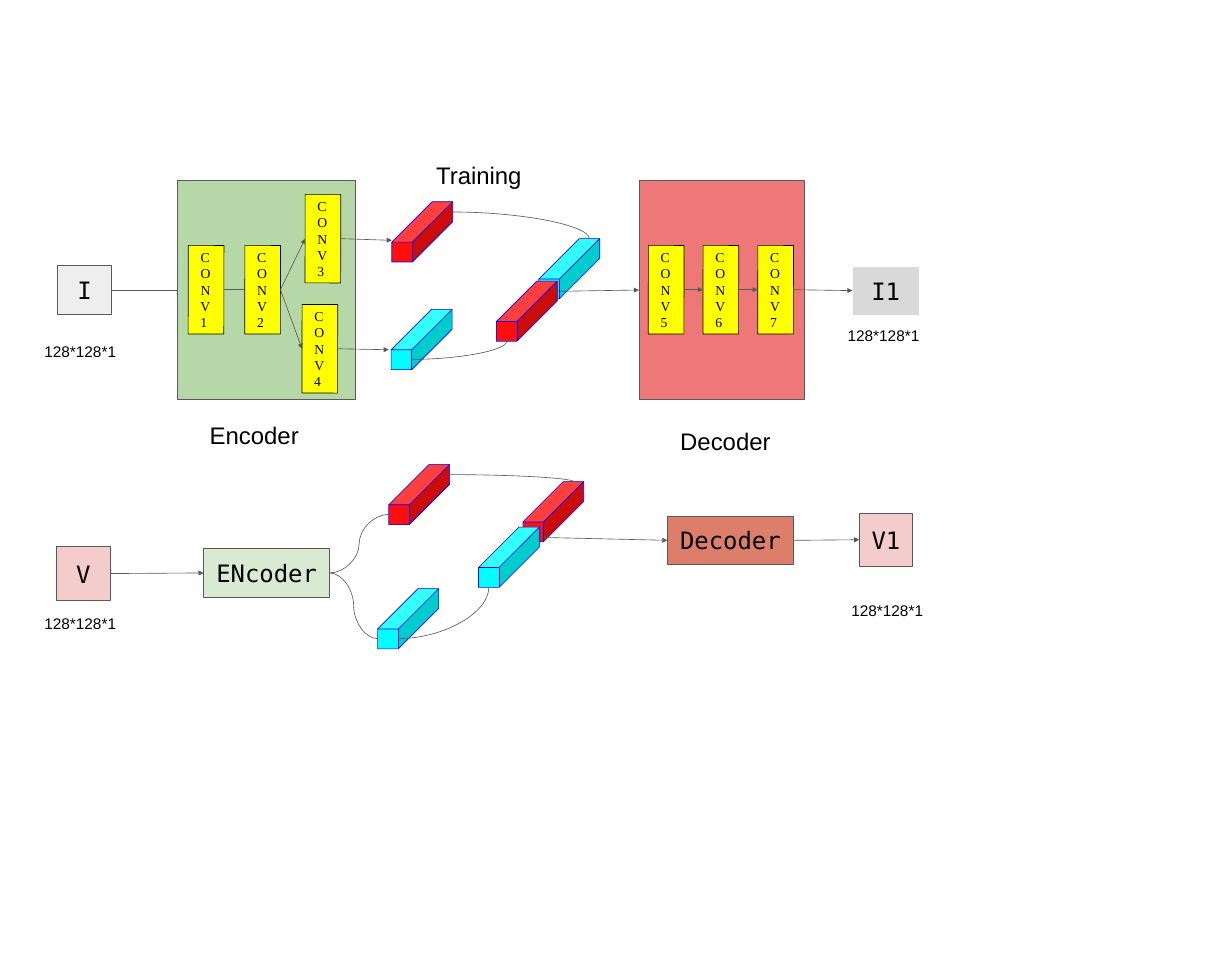
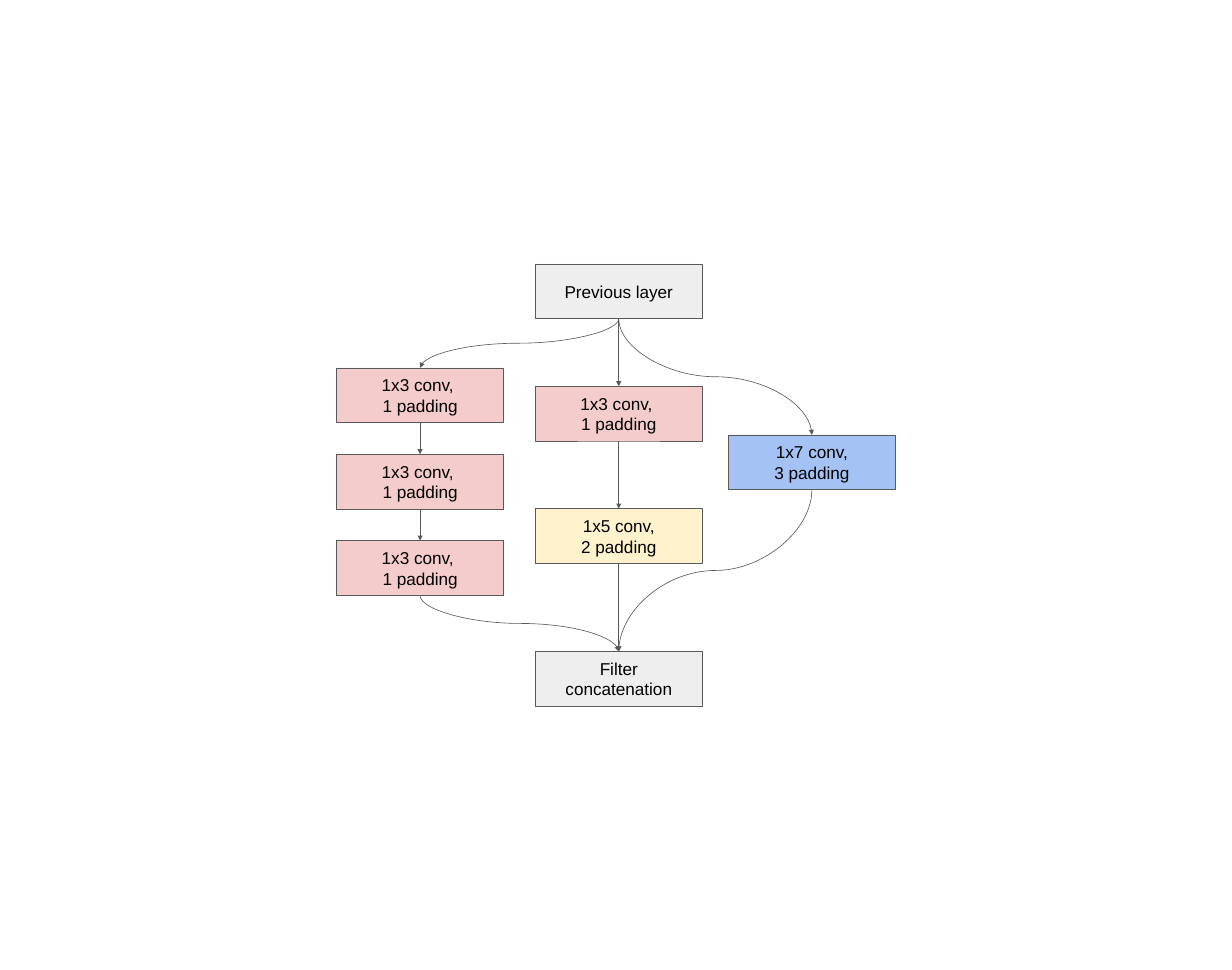
from dataclasses import dataclass
from typing import Any

from pptx import Presentation
from pptx.dml.color import RGBColor
from pptx.enum.shapes import MSO_CONNECTOR as Line, MSO_SHAPE as Preset
from pptx.enum.text import MSO_ANCHOR as Anchor, MSO_AUTO_SIZE as AutoSize, PP_ALIGN as Align
from pptx.oxml.ns import qn
from pptx.oxml.xmlchemy import OxmlElement
from pptx.util import Inches, Pt

CELL = Inches(0.1)

BLACK = RGBColor(0x00, 0x00, 0x00)
WHITE = RGBColor(0xFF, 0xFF, 0xFF)
DARK_GREY = RGBColor(0x59, 0x59, 0x59)
PALE_GREY = RGBColor(0xEE, 0xEE, 0xEE)
MID_GREY = RGBColor(0xD9, 0xD9, 0xD9)
PINK = RGBColor(0xF4, 0xCC, 0xCC)
GREEN = RGBColor(0xB6, 0xD7, 0xA8)
PALE_GREEN = RGBColor(0xD9, 0xEA, 0xD3)
CORAL = RGBColor(0xEE, 0x78, 0x78)
BRICK = RGBColor(0xDD, 0x7E, 0x6B)
YELLOW = RGBColor(0xFF, 0xFF, 0x00)
CREAM = RGBColor(0xFF, 0xF2, 0xCC)
SKY = RGBColor(0xA4, 0xC2, 0xF4)
RED = RGBColor(0xFF, 0x0E, 0x0E)
CYAN = RGBColor(0x00, 0xFF, 0xFF)
BLUE = RGBColor(0x00, 0x00, 0xFF)

TERMINAL = {"name": "DejaVu Sans Mono", "size": Pt(28)}
HEADING = {"name": "Arial", "size": Pt(28)}
DIMENSION = {"name": "Arial", "size": Pt(18)}
LAYER = {"name": "Arial", "size": Pt(20.1)}
CONV = {"name": "Times New Roman", "size": Pt(16)}

PADDING = {f"margin_{side}": Inches(0.2) for side in ("left", "top", "right", "bottom")}
INSIDE = {**PADDING, "word_wrap": True, "vertical_anchor": Anchor.MIDDLE}
CAPTION = {**PADDING, "word_wrap": True, "vertical_anchor": Anchor.TOP,
           "auto_size": AutoSize.SHAPE_TO_FIT_TEXT}

LEFT, RIGHT, TOP, BOTTOM = (0, 0.5), (1, 0.5), (0.5, 0), (0.5, 1)
CUBE_DEPTH = 0.67
CUBE_LEFT, CUBE_RIGHT = (0, 0.83), (1, 0.17)
CUBE_TOP, CUBE_BOTTOM = (0.83, 0), (0.17, 1)
CUBE_EDGE, CUBE_ENTRY = (0.33, 0.83), (0, 0.64)

CONV_SIZE = (5.8, 14.4)
CUBE_SIZE = (9.9, 9.8)
LAYER_SIZE = (27.2, 8.9)


@dataclass
class Region:
    """A part of a slide whose inner positions count in cells from its corner."""
    slide: Any
    left: float
    top: float

    def box(self, place, size):
        """Return the slide position and size of a part in EMU."""
        cells = (self.left + place[0], self.top + place[1], *size)
        return [round(cell * CELL) for cell in cells]

    def inner(self, place):
        """Return a region that starts at a place in this one."""
        return Region(self.slide, self.left + place[0], self.top + place[1])


def set_all(target, values):
    """Set every attribute named in a dict of format values."""
    for name, value in values.items():
        setattr(target, name, value)


def write(frame, text, font, layout, align):
    """Fill a text frame, one paragraph for each line of text."""
    set_all(frame, layout)
    for index, words in enumerate(text.split("\n")):
        paragraph = frame.add_paragraph() if index else frame.paragraphs[0]
        paragraph.alignment = align
        run = paragraph.add_run()
        run.text = words
        set_all(run.font, font)
        run.font.color.rgb = BLACK


def block(region, place, size, fill, text="", font=TERMINAL, outline=DARK_GREY,
          align=Align.CENTER, preset=Preset.RECTANGLE):
    """Draw a filled, outlined shape with optional text."""
    shape = region.slide.shapes.add_shape(preset, *region.box(place, size))
    shape.shadow.inherit = False
    shape.fill.solid()
    shape.fill.fore_color.rgb = fill
    shape.line.color.rgb = outline
    shape.line.width = Pt(0.75)
    if text:
        write(shape.text_frame, text, font, INSIDE, align)
    return shape


def caption(region, place, size, text, font):
    """Place a free line of text."""
    label = region.slide.shapes.add_textbox(*region.box(place, size))
    write(label.text_frame, text, font, CAPTION, Align.LEFT)


def dimension(region, place):
    """Place the image size under an input or output."""
    caption(region, place, (16.7, 7), "128*128*1", DIMENSION)


def conv(region, place, number):
    """Draw one numbered convolution with its letters stacked."""
    shape = block(region, place, CONV_SIZE, YELLOW, f"CONV\n{number}", CONV, BLACK, Align.LEFT)
    shape.rotation = 0.1
    return shape


def cube(region, place, fill):
    """Draw one feature cube."""
    shape = block(region, place, CUBE_SIZE, fill, outline=BLUE, preset=Preset.CUBE)
    shape.adjustments[0] = CUBE_DEPTH
    return shape


def spot(shape, share):
    """Return the point at a share of a shape's width and height."""
    return (round(shape.left + share[0] * shape.width),
            round(shape.top + share[1] * shape.height))


def link(region, source, source_spot, target, target_spot, route="straight", tip=True):
    """Join two shapes by a straight, bend, sway or drop route."""
    x1, y1 = spot(source, source_spot)
    x2, y2 = spot(target, target_spot)
    if route == "drop":
        middle_x, middle_y = (x1 + x2) // 2, (y1 + y2) // 2
        half_x, half_y = (x2 - x1) // 2, (y2 - y1) // 2
        x1, x2 = middle_x - half_y, middle_x + half_y
        y1, y2 = middle_y + half_x, middle_y - half_x
    kind = Line.STRAIGHT if route == "straight" else Line.CURVE
    connector = region.slide.shapes.add_connector(kind, x1, y1, x2, y2)
    connector.line.color.rgb = DARK_GREY
    connector.line.width = Pt(0.75)
    properties = connector.element.spPr
    if route == "drop":
        properties.find(qn("a:xfrm")).set("rot", "5400000")
    if route == "bend":
        properties.find(qn("a:prstGeom")).set("prst", "curvedConnector2")
    if tip:
        arrowhead = OxmlElement("a:tailEnd")
        arrowhead.set("type", "triangle")
        properties.find(qn("a:ln")).append(arrowhead)
    properties.append(OxmlElement("a:effectLst"))


def encoder(region):
    """Draw the encoder panel with its two branches."""
    panel = block(region, (0, 0), (28.9, 35.7), GREEN)
    places = ((1.7, 10.6), (10.9, 10.6), (20.7, 2.3), (20.2, 20.2))
    first, second, upper, lower = (conv(region, place, number)
                                   for number, place in enumerate(places, 1))
    link(region, first, RIGHT, second, LEFT, tip=False)
    for branch in (upper, lower):
        link(region, second, RIGHT, branch, LEFT)
    return panel, upper, lower


def decoder(region):
    """Draw the decoder panel with its chain of convolutions."""
    panel = block(region, (0, 0), (26.8, 35.7), CORAL)
    chain = [conv(region, (1.5 + 8.9 * step, 10.6), 5 + step) for step in range(3)]
    for source, target in zip(chain, chain[1:]):
        link(region, source, RIGHT, target, LEFT)
    return panel, chain[-1]


def features(region, places, back_fill, front_fill):
    """Draw two encoded cubes and the joined pair they lead to."""
    fills = (RED, CYAN, back_fill, front_fill)
    upper, lower, back, front = (cube(region, place, fill)
                                 for place, fill in zip(places, fills))
    link(region, upper, CUBE_RIGHT, back, CUBE_TOP, "bend", tip=False)
    link(region, lower, CUBE_EDGE, front, CUBE_BOTTOM, "bend", tip=False)
    return upper, lower, front


def training_flow(region):
    """Draw the upper flow from I to I1."""
    caption(region, (63.7, 0), (26.8, 8.7), "Training", HEADING)
    image = block(region, (4.2, 19.1), (8.7, 7.9), PALE_GREY, "I")
    dimension(region, (0, 30))
    encoder_panel, upper_conv, lower_conv = encoder(region.inner((23.7, 5.2)))
    caption(region, (26.9, 42.3), (19.1, 8.7), "Encoder", HEADING)
    places = ((58.5, 8.7), (58.4, 26.2), (82.4, 14.7), (75.5, 21.6))
    upper, lower, joined = features(region, places, CYAN, RED)
    decoder_panel, last_conv = decoder(region.inner((98.7, 5.2)))
    caption(region, (103.4, 43.3), (20.7, 8.7), "Decoder", HEADING)
    output = block(region, (133.4, 19.2), (10.8, 7.9), MID_GREY, "I1", outline=WHITE)
    dimension(region, (130.6, 27.5))
    link(region, image, RIGHT, encoder_panel, LEFT, tip=False)
    link(region, upper_conv, RIGHT, upper, CUBE_ENTRY)
    link(region, lower_conv, RIGHT, lower, (-0.04, 0.67))
    link(region, joined, CUBE_RIGHT, decoder_panel, LEFT)
    link(region, last_conv, RIGHT, output, LEFT)


def transfer_flow(region):
    """Draw the lower flow from V to V1."""
    image = block(region, (4, 13.4), (8.7, 8.7), PINK, "V")
    dimension(region, (0, 22.9))
    encoder_box = block(region, (27.9, 13.7), (20.5, 7.9), PALE_GREEN, "ENcoder")
    places = ((58, 0), (56.2, 20.2), (79.8, 2.8), (72.6, 10.2))
    upper, lower, joined = features(region, places, RED, CYAN)
    decoder_box = block(region, (103.3, 8.4), (20.5, 7.9), BRICK, "Decoder")
    output = block(region, (134.5, 7.9), (8.7, 8.7), PINK, "V1")
    dimension(region, (131.2, 20.7))
    link(region, image, RIGHT, encoder_box, LEFT)
    for encoded in (upper, lower):
        link(region, encoder_box, RIGHT, encoded, CUBE_LEFT, "sway", tip=False)
    link(region, joined, CUBE_RIGHT, decoder_box, LEFT)
    link(region, decoder_box, RIGHT, output, LEFT)


def inception_module(region):
    """Draw the parallel branches between the previous layer and the concatenation."""
    narrow = ("1x3 conv, \n1 padding", PINK)
    medium = ("1x5 conv,\n2 padding", CREAM)
    wide = ("1x7 conv,\n3 padding", SKY)
    left, centre, right = 0, 32.3, 63.7
    branches = (
        (left, [(16.9 + 14.05 * step, narrow) for step in range(3)]),
        (centre, [(19.9, narrow), (39.8, medium)]),
        (right, [(27.8, wide)]),
    )
    previous = block(region, (centre, 0), LAYER_SIZE, PALE_GREY, "Previous layer", LAYER)
    concatenation = block(region, (centre, 63), LAYER_SIZE, PALE_GREY,
                          "Filter concatenation", LAYER)
    for column, steps in branches:
        layers = [block(region, (column, row), LAYER_SIZE, fill, text, LAYER)
                  for row, (text, fill) in steps]
        chain = [previous, *layers, concatenation]
        for source, target in zip(chain, chain[1:]):
            route = "straight" if source.left == target.left else "drop"
            link(region, source, BOTTOM, target, TOP, route)


def main():
    """Build both slides and save them."""
    deck = Presentation()
    set_all(deck, {"slide_width": Inches(20.03), "slide_height": Inches(15.77)})
    blank = deck.slide_layouts[6]
    network = deck.slides.add_slide(blank)
    training_flow(Region(network, 5.2, 24.1))
    transfer_flow(Region(network, 5.2, 75.5))
    module = deck.slides.add_slide(blank)
    inception_module(Region(module, 54.7, 42.9))
    deck.save("out.pptx")


if __name__ == "__main__":
    main()
